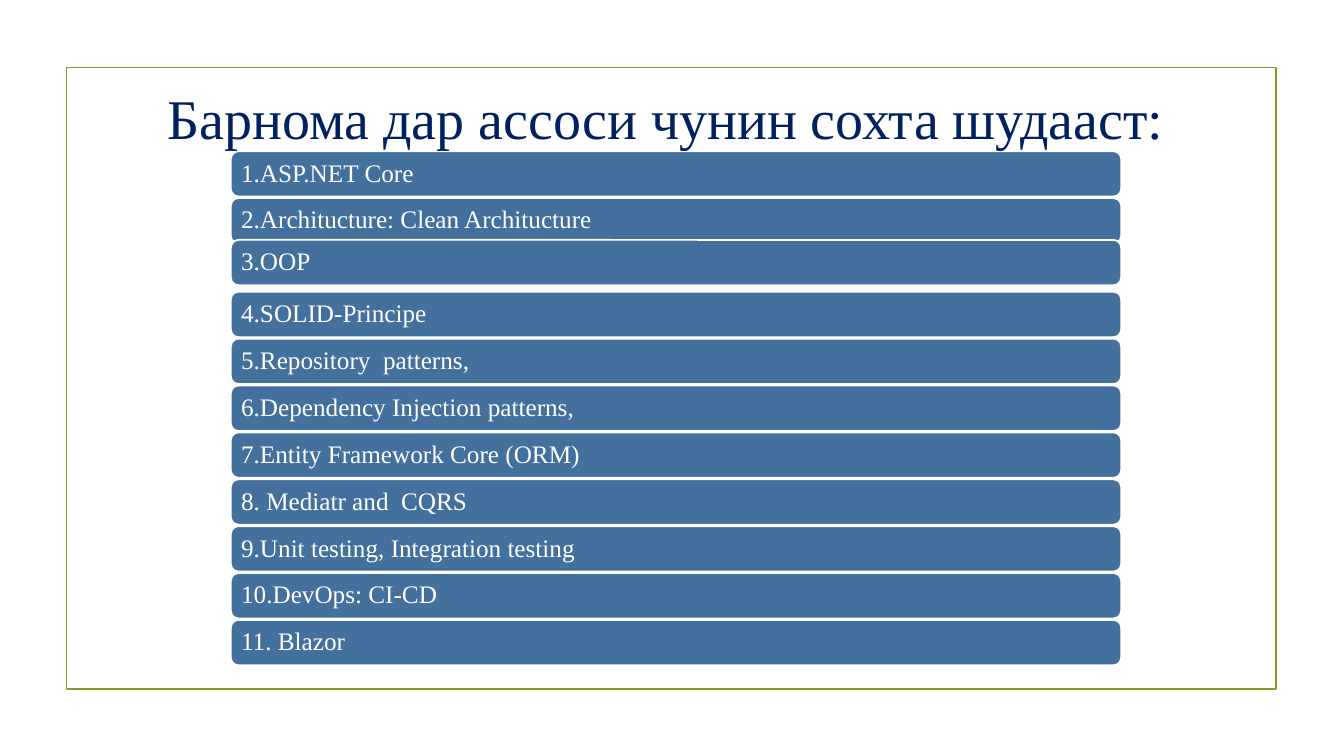
from dataclasses import dataclass

from pptx import Presentation
from pptx.dml.color import RGBColor
from pptx.enum.shapes import MSO_SHAPE
from pptx.enum.text import MSO_ANCHOR, PP_ALIGN
from pptx.util import Inches, Pt

RECTANGLE = MSO_SHAPE.RECTANGLE
ROUNDED = MSO_SHAPE.ROUNDED_RECTANGLE
MIDDLE = MSO_ANCHOR.MIDDLE
LEFT, CENTER = PP_ALIGN.LEFT, PP_ALIGN.CENTER

WIDTH, HEIGHT = Inches(13.33), Inches(7.5)
COLUMN, ROW = WIDTH / 100, HEIGHT / 100
FONT = "Times New Roman"
COLORS = {"frame": "83992A", "bar": "44709D", "white": "FFFFFF", "title": "002060"}

TITLE = "Барнома дар ассоси чунин сохта шудааст:"
FIRST_BAR_ROW, BAR_PITCH = 20, 6.2


@dataclass(frozen=True)
class Area:
    column: float
    row: float
    columns: float
    rows: float

    def place(self) -> tuple[int, int, int, int]:
        return (round(self.column * COLUMN), round(self.row * ROW),
                round(self.columns * COLUMN), round(self.rows * ROW))


@dataclass(frozen=True)
class Bar:
    label: str
    row_shift: float = 0


BARS = [
    Bar("1.ASP.NET Core"),
    Bar("2.Architucture: Clean Architucture"),
    Bar("3.OOP", row_shift=-0.67),
    Bar("4.SOLID-Principe"),
    Bar("5.Repository  patterns,"),
    Bar("6.Dependency Injection patterns,"),
    Bar("7.Entity Framework Core (ORM)"),
    Bar("8. Mediatr and  CQRS"),
    Bar("9.Unit testing, Integration testing"),
    Bar("10.DevOps: CI-CD"),
    Bar("11. Blazor"),
]


def color(name: str) -> RGBColor:
    return RGBColor.from_string(COLORS[name])


def write(box, text: str, size: float, tint: str, align) -> None:
    frame = box.text_frame
    frame.word_wrap = True
    frame.vertical_anchor = MIDDLE
    para = frame.paragraphs[0]
    para.alignment = align
    para.line_spacing = 0.9
    span = para.add_run()
    span.text = text
    span.font.name = FONT
    span.font.size = Pt(size)
    span.font.color.rgb = color(tint)


def add_outlined(page, kind, area: Area, line: str):
    shape = page.shapes.add_shape(kind, *area.place())
    shape.shadow.inherit = False
    shape.line.color.rgb = color(line)
    shape.line.width = Pt(1.25)
    return shape


def add_bar(page, index: int, bar: Bar) -> None:
    row = FIRST_BAR_ROW + index * BAR_PITCH + bar.row_shift
    shape = add_outlined(page, ROUNDED, Area(17.18, row, 66.24, 6), "white")
    shape.fill.solid()
    shape.fill.fore_color.rgb = color("bar")
    frame = shape.text_frame
    frame.margin_left = frame.margin_right = Inches(0.08)
    frame.margin_top = frame.margin_bottom = 0
    write(shape, bar.label, 18, "white", LEFT)


def main() -> None:
    """Build the slide that lists what the program is based on."""
    deck = Presentation()
    deck.slide_width, deck.slide_height = WIDTH, HEIGHT
    page = deck.slides.add_slide(deck.slide_layouts[6])

    border = add_outlined(page, RECTANGLE, Area(4.95, 8.93, 90.02, 82.27), "frame")
    border.fill.background()

    for index, bar in enumerate(BARS):
        add_bar(page, index, bar)

    title = page.shapes.add_textbox(*Area(11.25, 10, 76.59, 12.13).place())
    write(title, TITLE, 40, "title", CENTER)

    deck.save("out.pptx")


if __name__ == "__main__":
    main()
